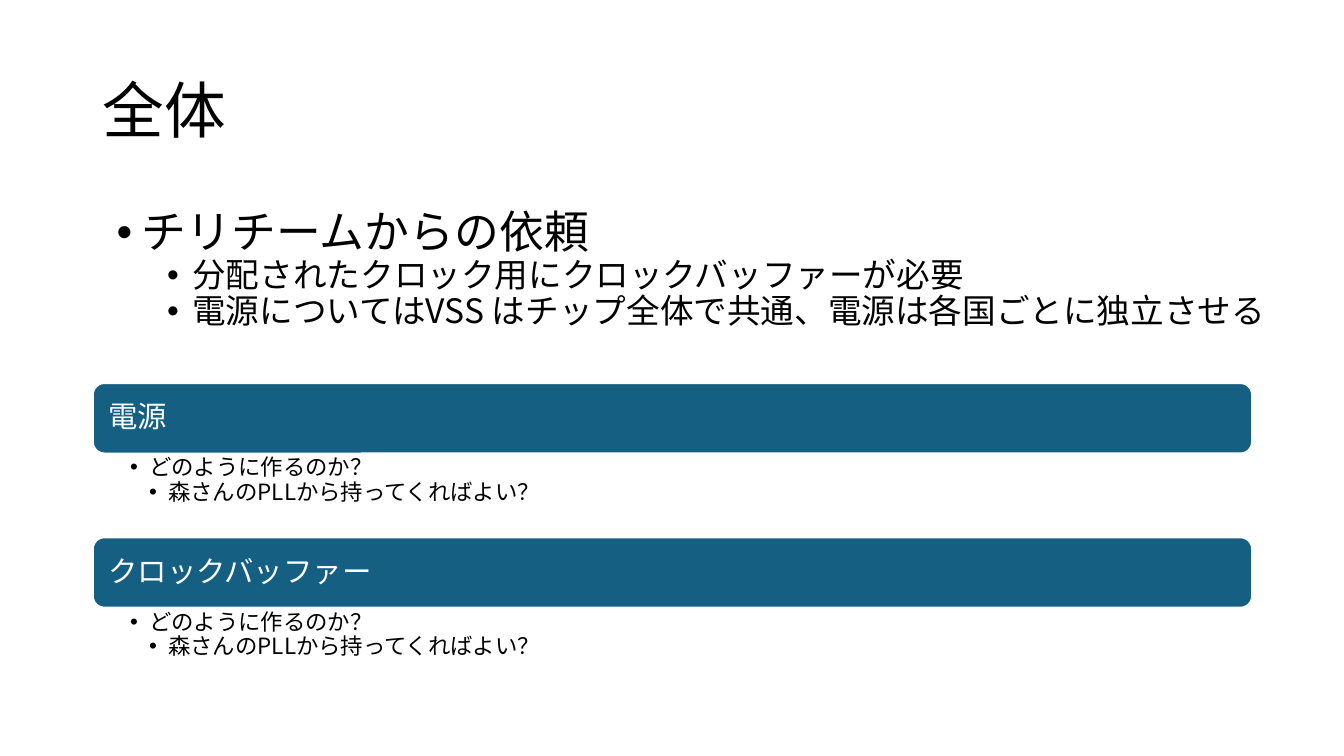
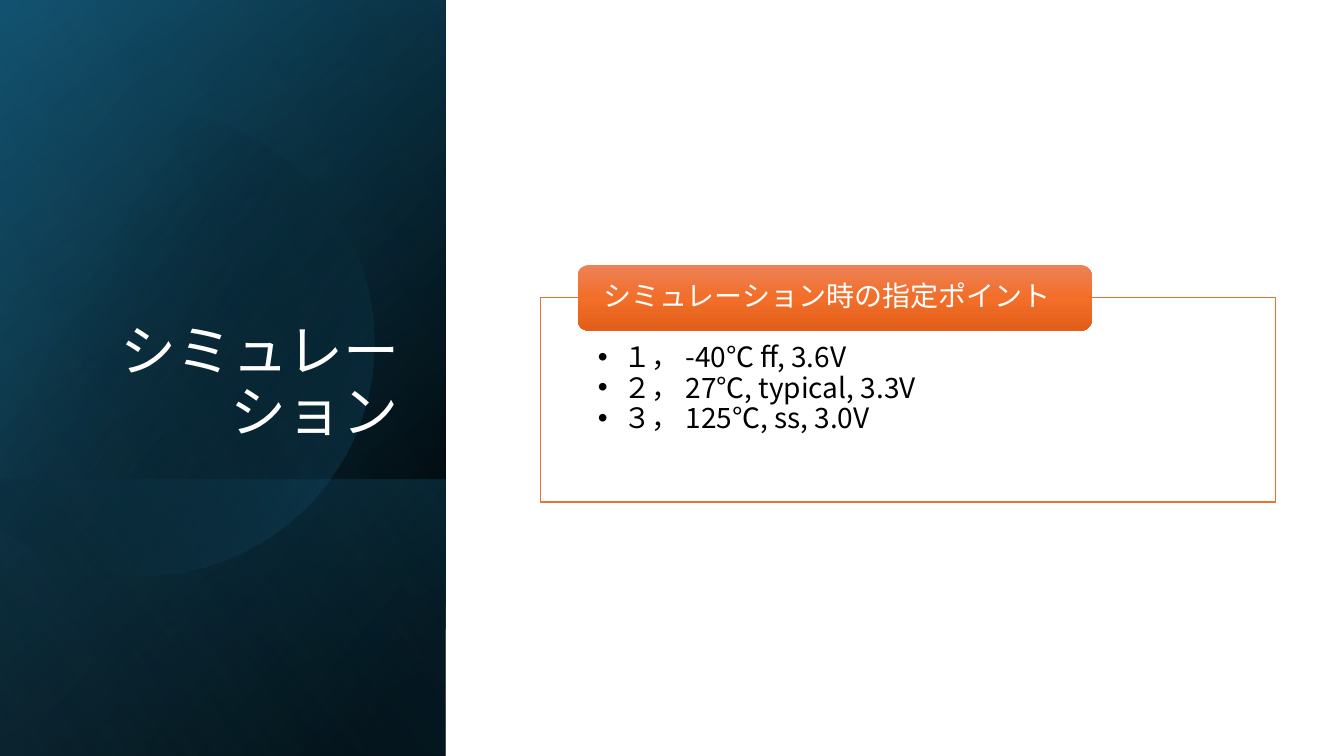
from math import acos, cos, sin

from lxml.etree import SubElement
from pptx import Presentation
from pptx.dml.color import RGBColor
from pptx.enum.shapes import MSO_SHAPE
from pptx.enum.text import MSO_ANCHOR, MSO_AUTO_SIZE, PP_ALIGN
from pptx.oxml.ns import qn
from pptx.util import Inches, Pt

# Shared style
FONT = "Noto Sans CJK JP"
BLACK, WHITE = "000000", "FFFFFF"
BLUE, ORANGE = "156082", "E97132"
PANEL_W, SLIDE_W, SLIDE_H = 4.42, 13.33, 7.5


def rgb(color):
    return RGBColor.from_string(color)


def box(*lengths):
    return [Inches(v) for v in lengths]


# Text
def set_bullet(p, left, hang):
    pPr = p._p.get_or_add_pPr()
    pPr.set("marL", str(Inches(left)))
    pPr.set("indent", str(-Inches(hang)))
    SubElement(pPr, qn("a:buFont"), typeface="Arial")
    SubElement(pPr, qn("a:buChar"), char="•")


def add_text(tf, text, size=20, color=BLACK, align=PP_ALIGN.LEFT, bullet=None):
    """Write one paragraph; bullet is (left indent, hanging indent)."""
    p = tf.paragraphs[0]
    if p.runs:
        p = tf.add_paragraph()
    p.alignment = align
    p.line_spacing = 0.9
    p.space_before = p.space_after = Pt(0)
    if bullet:
        set_bullet(p, *bullet)
    r = p.add_run()
    r.text = text
    r.font.size = Pt(size)
    r.font.color.rgb = rgb(color)
    r.font.name = FONT
    SubElement(r._r.get_or_add_rPr(), qn("a:ea"), typeface=FONT)


def set_frame(tf, anchor=MSO_ANCHOR.MIDDLE, insets=(0.1, 0.05, 0.1, 0.05)):
    tf.word_wrap = True
    tf.auto_size = MSO_AUTO_SIZE.NONE
    tf.vertical_anchor = anchor
    (tf.margin_left, tf.margin_top,
     tf.margin_right, tf.margin_bottom) = box(*insets)
    return tf


def add_text_box(slide, at, **frame):
    return set_frame(slide.shapes.add_textbox(*box(*at)).text_frame, **frame)


def set_title(slide, text, at, size, color=BLACK, align=PP_ALIGN.LEFT,
              anchor=MSO_ANCHOR.MIDDLE):
    title = slide.shapes.title
    title.left, title.top, title.width, title.height = box(*at)
    add_text(set_frame(title.text_frame, anchor), text, size, color, align)
    # Bring the title in front of what is already drawn
    slide.shapes._spTree.append(title._element)


# Shapes
def set_gradient(sp, stops, angle):
    """Fill with stops of (position %, colour, opacity %)."""
    sp.fill.solid()
    spPr = sp._element.spPr
    solid = spPr.find(qn("a:solidFill"))
    grad = solid.makeelement(qn("a:gradFill"), {"rotWithShape": "1"})
    spPr.replace(solid, grad)
    gs_list = SubElement(grad, qn("a:gsLst"))
    for pos, color, opacity in stops:
        gs = SubElement(gs_list, qn("a:gs"), pos=str(pos * 1000))
        clr = SubElement(gs, qn("a:srgbClr"), val=color)
        if opacity < 100:
            SubElement(clr, qn("a:alpha"), val=str(opacity * 1000))
    SubElement(grad, qn("a:lin"), ang=str(angle * 60000), scaled="0")


def set_look(sp, fill=None, gradient=None, line=None, width=1):
    sp.shadow.inherit = False
    if gradient:
        set_gradient(sp, *gradient)
    else:
        sp.fill.solid()
        sp.fill.fore_color.rgb = rgb(fill)
    if line:
        sp.line.color.rgb = rgb(line)
        sp.line.width = Pt(width)
    else:
        sp.line.fill.background()
    return sp


def add_box(slide, at, kind=MSO_SHAPE.RECTANGLE, **look):
    return set_look(slide.shapes.add_shape(kind, *box(*at)), **look)


def add_heading(slide, at, text, size, inset, **look):
    sp = add_box(slide, at, MSO_SHAPE.ROUNDED_RECTANGLE, **look)
    tf = set_frame(sp.text_frame, insets=(inset, 0, inset, 0))
    add_text(tf, text, size, WHITE)


def add_panel_layer(slide, top, stops, angle):
    """Panel layer from top to the slide's foot, mirrored and turned by 90°."""
    height = SLIDE_H - top
    shift = (PANEL_W - height) / 2
    sp = add_box(slide, (shift, top - shift, height, PANEL_W),
                 gradient=(stops, angle))
    sp.rotation = 90
    sp._element.spPr.xfrm.set("flipH", "1")


def add_glow(slide, cx, cy, radius):
    """Circle cut off at the slide's left edge."""
    end = acos(-cx / radius)
    steps = 90
    angles = [end * (2 * i / steps - 1) for i in range(steps + 1)]
    points = [(Inches(cx + radius * cos(a)), Inches(cy + radius * sin(a)))
              for a in angles]
    fb = slide.shapes.build_freeform(*points[0])
    fb.add_line_segments(points[1:], close=True)
    set_look(fb.convert_to_shape(),
             gradient=([(29, BLACK, 0), (100, BLUE, 43)], 30))


# Slides
def build_overview(slide):
    set_title(slide, "全体", (0.92, 0.4, 11.5, 1.45), 44)

    # Requests
    tf = add_text_box(slide, (1.06, 1.85, 11.84, 1.67))
    add_text(tf, "チリチームからの依頼", 32, bullet=(0.25, 0.25))
    for text in ("分配されたクロック用にクロックバッファーが必要",
                 "電源についてはVSS はチップ全体で共通、電源は各国ごとに独立させる"):
        add_text(tf, text, 24, bullet=(0.75, 0.25))

    # Topics with their questions
    for i, topic in enumerate(("電源", "クロックバッファー")):
        top = 3.8 + 1.53 * i
        add_heading(slide, (0.92, top, 11.5, 0.7), topic, 21, 0.12,
                    fill=BLUE, line=WHITE, width=1.5)
        tf = add_text_box(slide, (0.92, top + 0.7, 11.5, 0.83),
                          anchor=MSO_ANCHOR.TOP,
                          insets=(0.37, 0.03, 0.16, 0.03))
        add_text(tf, "どのように作るのか？", 16, bullet=(0.19, 0.19))
        add_text(tf, "森さんのPLLから持ってくればよい？", 16, bullet=(0.38, 0.19))


def build_simulation(slide):
    # Side panel
    add_panel_layer(slide, 0, [(8, BLACK, 100), (100, "104862", 100)], 50)
    add_panel_layer(slide, 0, [(0, BLACK, 0), (99, BLUE, 46)], 30)
    add_panel_layer(slide, 4.76, [(2, BLUE, 29), (100, BLACK, 30)], 130)
    add_glow(slide, 1.4, 3.4, 2.31)
    add_panel_layer(slide, 0, [(0, BLACK, 0), (99, "46B1E1", 11)], 120)
    set_title(slide, "シミュレーション", (0.64, 1.84, 3.41, 2.62), 40, WHITE,
              PP_ALIGN.RIGHT, MSO_ANCHOR.BOTTOM)

    # Simulation corners
    frame = add_box(slide, (5.36, 2.95, 7.29, 2.03), fill=WHITE, line=ORANGE)
    tf = set_frame(frame.text_frame, MSO_ANCHOR.TOP, (0.57, 0.46, 0.57, 0.16))
    for corner in ("１， -40℃ ff, 3.6V", "２， 27℃, typical, 3.3V",
                   "３， 125℃, ss, 3.0V"):
        add_text(tf, corner, bullet=(0.25, 0.25))
    stops = [(0, "ED8257", 100), (50, "F26E29", 100), (100, "E25F1A", 100)]
    add_heading(slide, (5.73, 2.63, 5.1, 0.65), "シミュレーション時の指定ポイント",
                20, 0.22, gradient=(stops, 90))


def main():
    prs = Presentation()
    prs.slide_width, prs.slide_height = box(SLIDE_W, SLIDE_H)
    title_only = prs.slide_layouts[5]
    for build in (build_overview, build_simulation):
        build(prs.slides.add_slide(title_only))
    prs.save("out.pptx")


if __name__ == "__main__":
    main()
